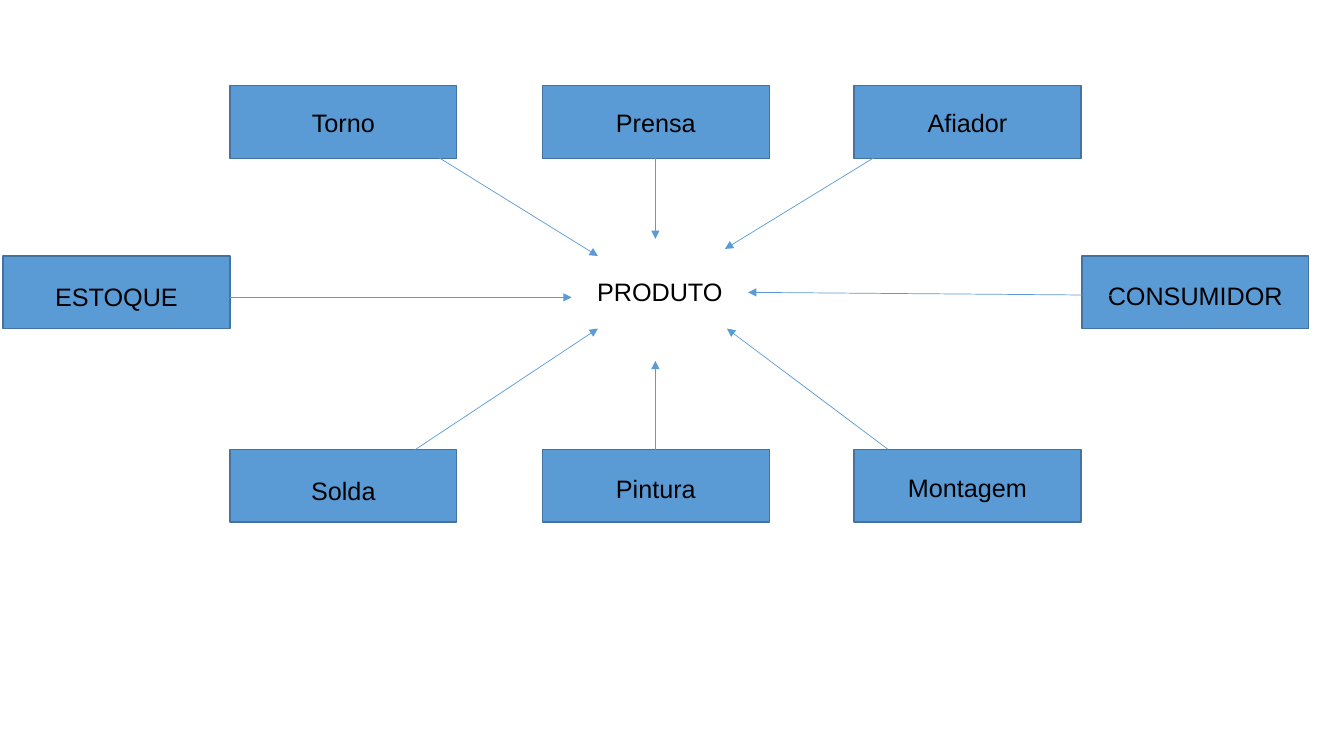
import dataclasses

import lxml.etree
import pptx
import pptx.dml.color
import pptx.enum.shapes
import pptx.enum.text
import pptx.oxml.ns
import pptx.slide
import pptx.util
from pptx.util import Inches

BOX_FILL = "5B9BD5"
BOX_BORDER = "43739E"
TEXT_COLOR = "000000"
BOX_WIDTH, BOX_HEIGHT = 2.25, 0.72
LABEL_HEIGHT = 0.4
COLUMNS = (2.28, 5.38, 8.47)
TOP_ROW, MIDDLE_ROW, BOTTOM_ROW = 0.85, 2.54, 4.46


@dataclasses.dataclass
class Station:
    name: str
    left: float
    top: float
    label_top: float


@dataclasses.dataclass
class Arrow:
    start: tuple[float, float]
    end: tuple[float, float]


STATIONS = [
    Station("Torno", COLUMNS[0], TOP_ROW, 1.02),
    Station("Prensa", COLUMNS[1], TOP_ROW, 1.02),
    Station("Afiador", COLUMNS[2], TOP_ROW, 1.02),
    Station("Solda", COLUMNS[0], BOTTOM_ROW, 4.67),
    Station("Pintura", COLUMNS[1], BOTTOM_ROW, 4.65),
    Station("Montagem", COLUMNS[2], BOTTOM_ROW, 4.64),
    Station("ESTOQUE", 0.03, MIDDLE_ROW, 2.74),
    Station("CONSUMIDOR", 10.73, MIDDLE_ROW, 2.73),
]

ARROWS = [
    Arrow((2.28, 2.95), (5.67, 2.95)),
    Arrow((4.12, 1.42), (5.93, 2.54)),
    Arrow((4.12, 4.46), (5.93, 3.26)),
    Arrow((6.5, 1.42), (6.5, 2.37)),
    Arrow((6.5, 4.64), (6.5, 3.58)),
    Arrow((8.79, 1.49), (7.19, 2.47)),
    Arrow((11.17, 2.93), (7.42, 2.9)),
    Arrow((8.81, 4.46), (7.21, 3.26)),
]


def color(value: str) -> pptx.dml.color.RGBColor:
    return pptx.dml.color.RGBColor.from_string(value)


def draw_box(slide: pptx.slide.Slide, station: Station) -> None:
    shape = slide.shapes.add_shape(
        pptx.enum.shapes.MSO_SHAPE.RECTANGLE,
        Inches(station.left), Inches(station.top), Inches(BOX_WIDTH), Inches(BOX_HEIGHT),
    )
    shape.shadow.inherit = False
    shape.fill.solid()
    shape.fill.fore_color.rgb = color(BOX_FILL)
    shape.line.color.rgb = color(BOX_BORDER)
    shape.line.width = pptx.util.Pt(1)


def draw_label(slide: pptx.slide.Slide, text: str, left: float, top: float, width: float) -> None:
    label = slide.shapes.add_textbox(
        Inches(left), Inches(top), Inches(width), Inches(LABEL_HEIGHT)
    )
    frame = label.text_frame
    frame.word_wrap = True
    frame.auto_size = pptx.enum.text.MSO_AUTO_SIZE.SHAPE_TO_FIT_TEXT
    paragraph = frame.paragraphs[0]
    paragraph.text = text
    paragraph.alignment = pptx.enum.text.PP_ALIGN.CENTER
    paragraph.font.name = "Arial"
    paragraph.font.size = pptx.util.Pt(18)
    paragraph.font.color.rgb = color(TEXT_COLOR)


def draw_arrow(slide: pptx.slide.Slide, arrow: Arrow) -> None:
    connector = slide.shapes.add_connector(
        pptx.enum.shapes.MSO_CONNECTOR.STRAIGHT,
        *(Inches(value) for value in arrow.start + arrow.end),
    )
    connector.line.color.rgb = color(BOX_FILL)
    connector.line.width = pptx.util.Pt(0.5)
    properties = connector.element.spPr
    line = properties.find(pptx.oxml.ns.qn("a:ln"))
    lxml.etree.SubElement(line, pptx.oxml.ns.qn("a:tailEnd"), type="triangle")
    lxml.etree.SubElement(properties, pptx.oxml.ns.qn("a:effectLst"))


def main() -> None:
    presentation = pptx.Presentation()
    presentation.slide_width = Inches(13.33)
    presentation.slide_height = Inches(7.5)
    slide = presentation.slides.add_slide(presentation.slide_layouts.get_by_name("Blank"))
    for station in STATIONS:
        draw_box(slide, station)
    draw_label(slide, " PRODUTO", 4.54, 2.69, 3.94)
    for station in STATIONS:
        draw_label(slide, station.name, station.left, station.label_top, BOX_WIDTH)
    for arrow in ARROWS:
        draw_arrow(slide, arrow)
    presentation.save("out.pptx")


main()
